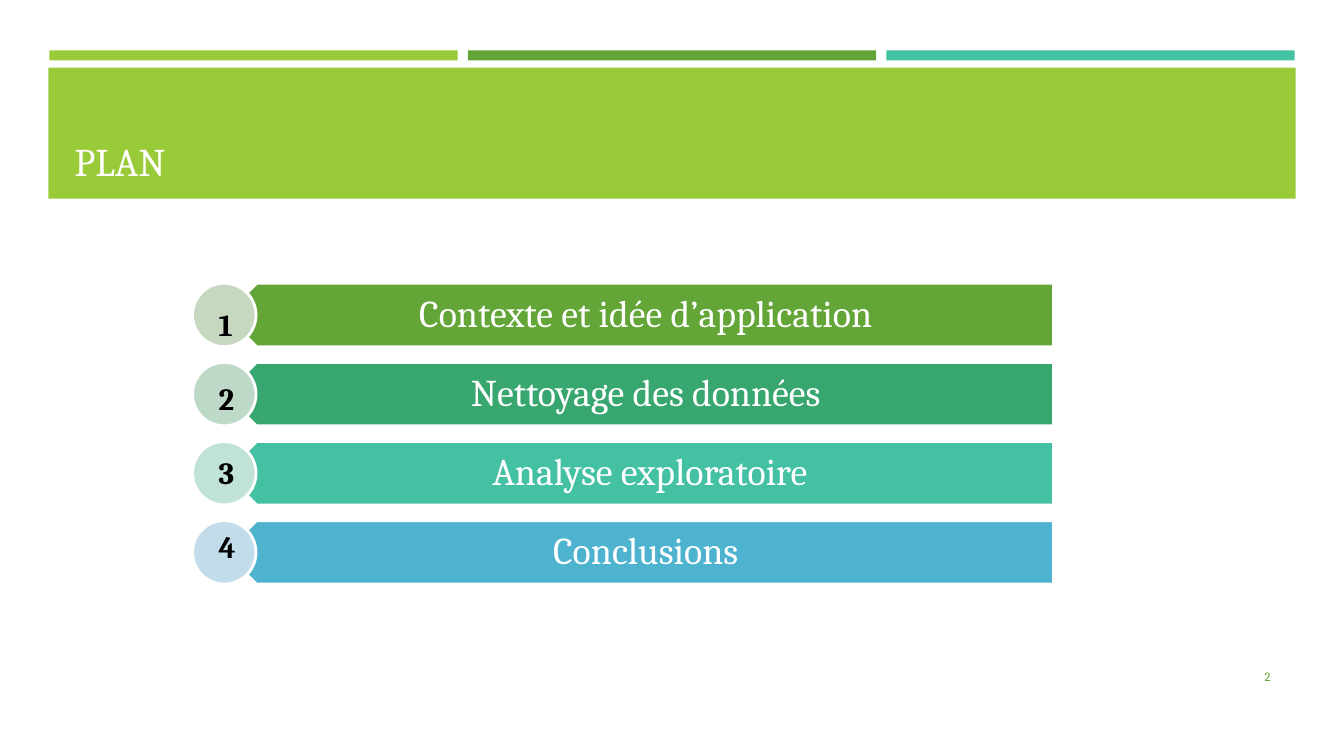
"""Build the PLAN slide: a title banner above four numbered agenda bars."""
from pptx import Presentation
from pptx.dml.color import RGBColor
from pptx.enum import shapes, text
from pptx.util import Inches, Pt

WHITE, LIME, GREEN, TEAL = "FFFFFF", "99CB38", "63A537", "44C1A3"
SHAPE, ALIGN, ANCHOR = shapes.MSO_SHAPE, text.PP_ALIGN, text.MSO_ANCHOR

presentation = Presentation()
presentation.slide_width, presentation.slide_height = Inches(13.33), Inches(7.5)
slide = presentation.slides.add_slide(presentation.slide_layouts[6])


def add_shape(kind, box, fill, outlined=False):
    shape = slide.shapes.add_shape(kind, *map(Inches, box))
    shape.shadow.inherit = False
    shape.fill.solid()
    shape.fill.fore_color.rgb = RGBColor.from_string(fill)
    if outlined:
        shape.line.color.rgb = RGBColor.from_string(WHITE)
        shape.line.width = Pt(2)
    else:
        shape.line.fill.background()
    return shape


def add_text(lines, box, size, color, align=ALIGN.LEFT, anchor=ANCHOR.MIDDLE):
    frame = slide.shapes.add_textbox(*map(Inches, box)).text_frame
    frame.word_wrap = True
    frame.vertical_anchor = anchor
    frame.text = "\n".join(lines)
    for paragraph in frame.paragraphs:
        paragraph.alignment = align
        paragraph.font.name = "Cambria"
        paragraph.font.size = Pt(size)
        paragraph.font.color.rgb = RGBColor.from_string(color)
    return frame


for column, color in enumerate([LIME, GREEN, TEAL]):
    add_shape(SHAPE.RECTANGLE, (0.49 + 4.15 * column, 0.5, 4.05, 0.1), color)
add_shape(SHAPE.RECTANGLE, (0.48, 0.67, 12.37, 1.3), LIME)
add_text(["PLAN"], (0.64, 0.77, 12.06, 1.11), 28, WHITE, anchor=ANCHOR.BOTTOM)

agenda = [
    ("Contexte et idée d’application ", GREEN, "C6D8BF"),
    ("Nettoyage des données ", "37A76F", "BFD9C8"),
    ("Analyse exploratoire", TEAL, "C1E3D7"),
    ("Conclusions ", "4EB3CF", "C2DDE9"),
]
bar_height = 0.63
for row, (topic, bar_color, circle_color) in enumerate(agenda):
    top = 2.81 + 0.785 * row
    bar = add_shape(SHAPE.PENTAGON, (2.23, top, 8.22, bar_height), bar_color, True)
    bar.rotation = 180
    topic_frame = add_text([topic], (2.38, top, 8.06, bar_height), 27, WHITE, ALIGN.CENTER)
    topic_frame.margin_left, topic_frame.margin_right = Inches(0.28), Inches(0.21)
    topic_frame.margin_top = topic_frame.margin_bottom = Inches(0.11)
    topic_frame.paragraphs[0].line_spacing = 0.9
    add_shape(SHAPE.OVAL, (1.91, top, bar_height, bar_height), circle_color, True)

numbers = [str(number) for number in range(1, len(agenda) + 1)]
number_frame = add_text(numbers, (2.07, 2.98, 0.35, 3.8), 22, "000000", anchor=ANCHOR.TOP)
number_frame.word_wrap = False
for paragraph in number_frame.paragraphs:
    paragraph.font.bold = True
    paragraph.space_after = Pt(26.5)

add_text(["2"], (11.55, 6.51, 1.15, 0.4), 9, GREEN, ALIGN.RIGHT)

presentation.save("out.pptx")
